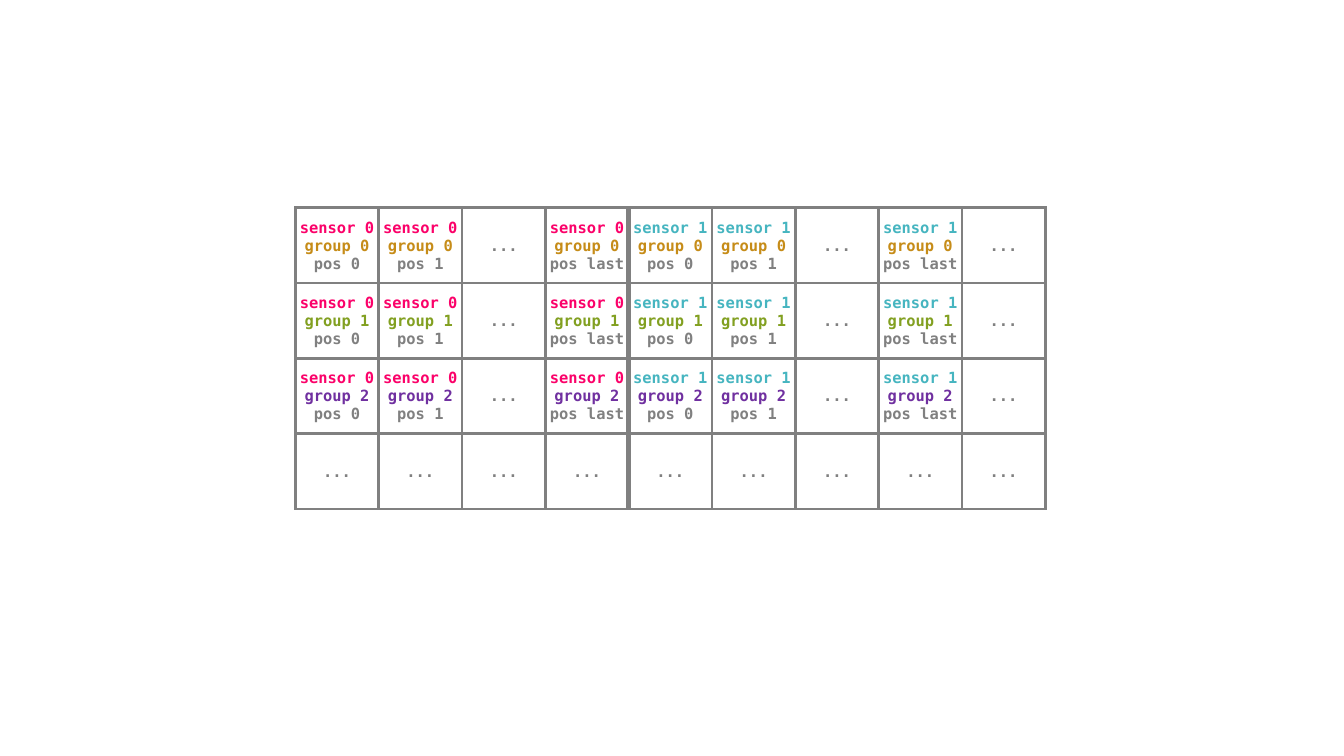
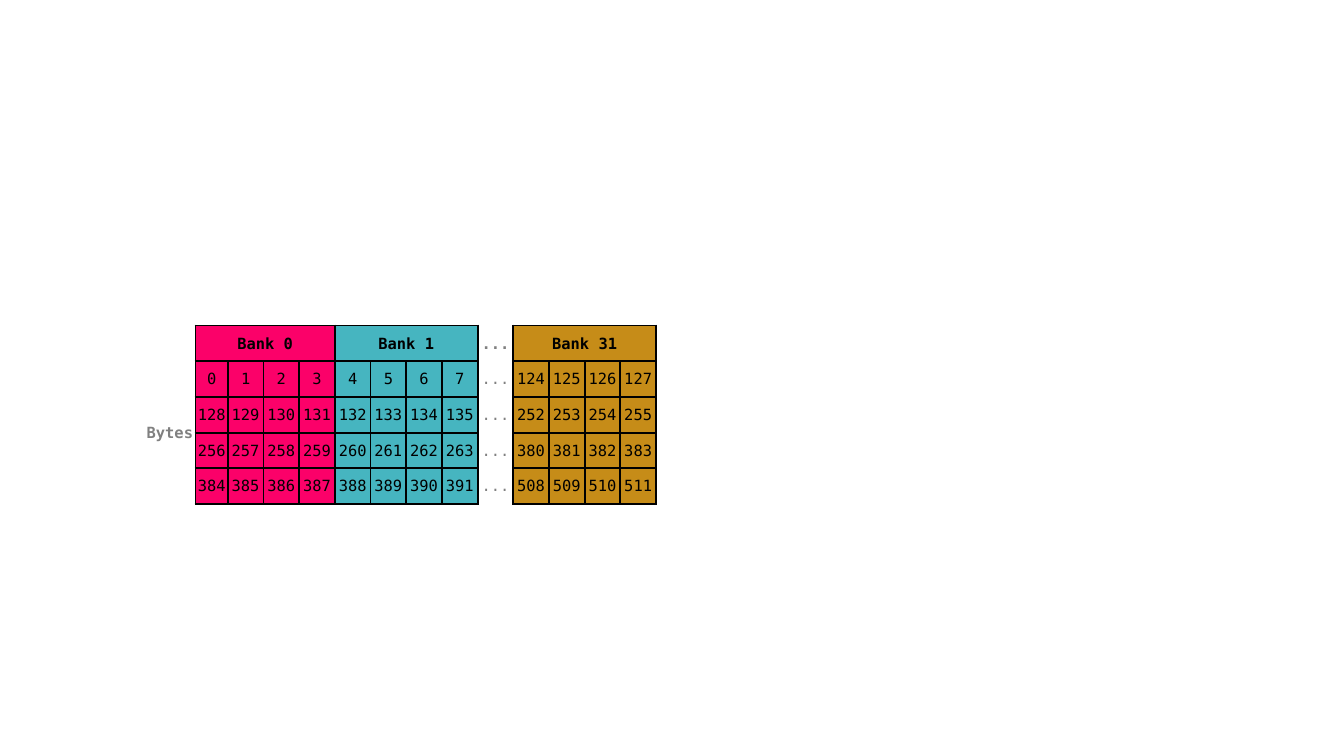
"""Two table slides: sensor data layout and memory bank layout."""
from lxml.etree import SubElement
from pptx import Presentation
from pptx.dml.color import RGBColor
from pptx.enum.text import MSO_ANCHOR, PP_ALIGN
from pptx.oxml.ns import qn
from pptx.util import Inches, Pt

COLORS = {"pink": "FB0169", "teal": "46B5C0", "gold": "C68C18", "green": "82A021",
          "purple": "7030A0", "gray": "808080", "black": "000000"}
FONT, SIZE = "DejaVu Sans Mono", Pt(11)
NO_STYLE = "{2D5ABB26-0587-4C30-8999-92F81FD0307C}"
DOTS = "..."

SENSOR_COLUMNS = [("sensor 0", "pink", "pos 0"), ("sensor 0", "pink", "pos 1"), None,
                  ("sensor 0", "pink", "pos last"),
                  ("sensor 1", "teal", "pos 0"), ("sensor 1", "teal", "pos 1"), None,
                  ("sensor 1", "teal", "pos last"), None]
GROUP_ROWS = [("group 0", "gold"), ("group 1", "green"), ("group 2", "purple"), None]
SENSOR_SPLIT = 4

BANKS = [(0, "pink", 1), (1, "teal", 5), (31, "gold", 10)]
DOTS_COLUMN = 9
BANK_BYTES, ROW_BYTES, BYTE_ROWS = 4, 128, 4


def add_grid(s, left, top, widths, height, rows):
    frame = s.shapes.add_table(rows, len(widths), Inches(left), Inches(top),
                               Inches(sum(widths)), Inches(height))
    table = frame.table
    table.first_row = table.horz_banding = False
    frame._element.find(".//" + qn("a:tableStyleId")).text = NO_STYLE
    for column, width in zip(table.columns, widths):
        column.width = Inches(width)
    for row in table.rows:
        row.height = Inches(height / rows)
    return table


def style_cell(cell, lines=(), borders=None, line="black", fill=None):
    cell.margin_left = cell.margin_right = cell.margin_top = Inches(0.01)
    cell.margin_bottom = 0
    cell.vertical_anchor = MSO_ANCHOR.MIDDLE
    tc_pr = cell._tc.get_or_add_tcPr()
    for side in "LRTB":
        if side in (borders or {}):
            ln = SubElement(tc_pr, qn("a:ln" + side), w=str(Pt(borders[side])))
            SubElement(SubElement(ln, qn("a:solidFill")), qn("a:srgbClr"), val=COLORS[line])
    if fill:
        cell.fill.solid()
        cell.fill.fore_color.rgb = RGBColor.from_string(COLORS[fill])
    else:
        cell.fill.background()
    tf = cell.text_frame
    for i, (text, color, bold) in enumerate(lines):
        p = tf.add_paragraph() if i else tf.paragraphs[0]
        p.alignment = PP_ALIGN.CENTER
        r = p.add_run()
        r.text = text
        r.font.name, r.font.size, r.font.bold = FONT, SIZE, bold
        r.font.color.rgb = RGBColor.from_string(COLORS[color])


def sensor_slide(s):
    table = add_grid(s, 2.93, 2.06, [7.44 / 9] * len(SENSOR_COLUMNS), 2.99, len(GROUP_ROWS))
    for i, group in enumerate(GROUP_ROWS):
        for j, column in enumerate(SENSOR_COLUMNS):
            lines = [(DOTS, "gray", True)]
            if group and column:
                sensor, color, pos = column
                lines = [(sensor, color, True), (*group, True), (pos, "gray", True)]
            borders = dict.fromkeys("LRTB", 2.25)
            if j == SENSOR_SPLIT - 1:
                borders["R"] = 4.5
            elif j == SENSOR_SPLIT:
                borders["L"] = 4.5
            style_cell(table.cell(i, j), lines, borders, "gray")


def bank_slide(s):
    table = add_grid(s, 1.43, 3.23, [0.51, 0.32] + [4.25 / 12] * 12, 1.77, BYTE_ROWS + 1)
    box = dict.fromkeys("LRTB", 1.5)
    sides = {"L": 1.5, "R": 1.5}
    for i in range(BYTE_ROWS + 1):
        label = [("Bytes", "gray", True)] if i == 1 else []
        style_cell(table.cell(i, 0), label, {"R": 1.5})
        style_cell(table.cell(i, DOTS_COLUMN), [(DOTS, "gray", i == 0)], sides)
        for bank, color, start in BANKS:
            for k in range(BANK_BYTES):
                if i:
                    value = (i - 1) * ROW_BYTES + bank * BANK_BYTES + k
                    lines = [(str(value), "black", False)]
                else:
                    lines = [] if k else [(f"Bank {bank}", "black", True)]
                style_cell(table.cell(i, start + k), lines, box, fill=color)
    for _, _, start in BANKS:
        table.cell(0, start).merge(table.cell(0, start + BANK_BYTES - 1))
    bytes_cell = table.cell(1, 0)
    bytes_cell.merge(table.cell(BYTE_ROWS, 0))
    bytes_cell._tc.get_or_add_tcPr().set("vert", "wordArtVert")


def main():
    prs = Presentation()
    prs.slide_width, prs.slide_height = Inches(13.33), Inches(7.5)
    for build in (sensor_slide, bank_slide):
        build(prs.slides.add_slide(prs.slide_layouts[6]))
    prs.save("out.pptx")


if __name__ == "__main__":
    main()
